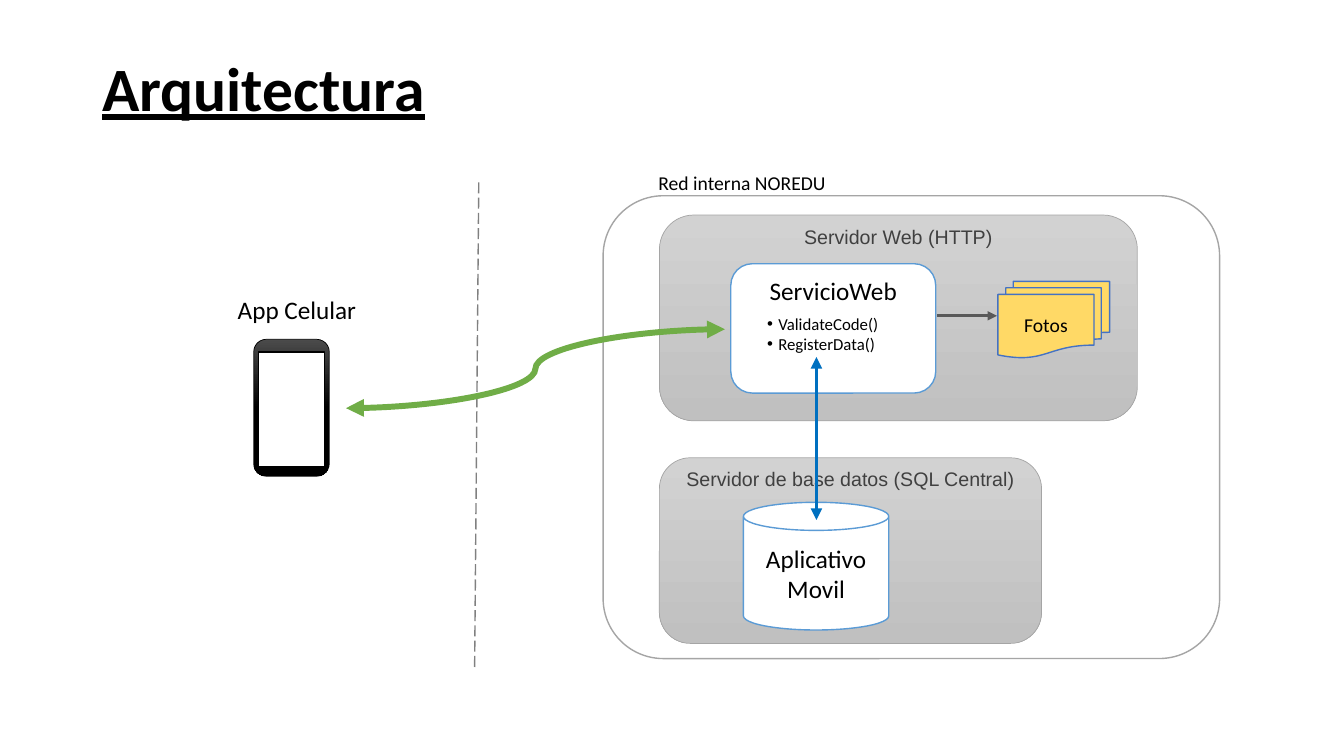
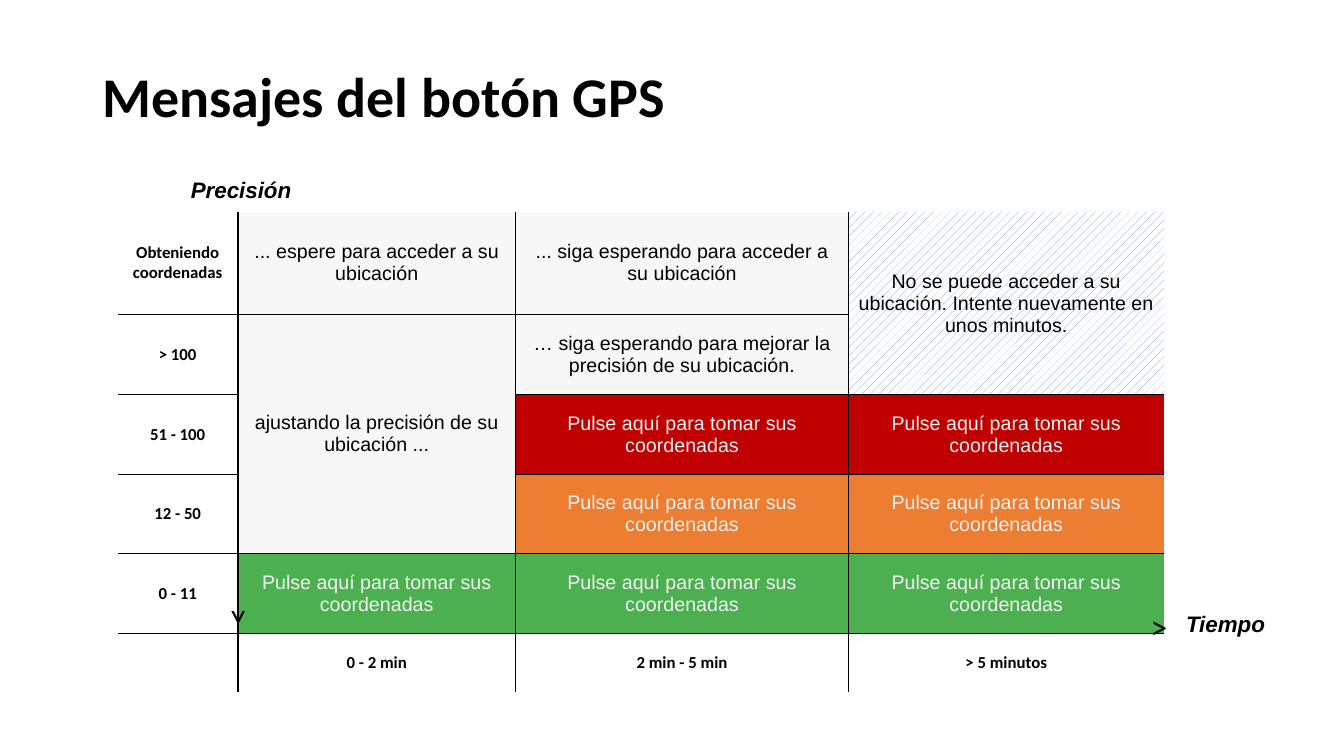
from dataclasses import dataclass, replace

from lxml.etree import SubElement
from pptx import Presentation
from pptx.dml.color import RGBColor
from pptx.enum.dml import MSO_LINE as Dash, MSO_PATTERN as Pattern
from pptx.enum.shapes import MSO_CONNECTOR as Link, MSO_SHAPE as Shape
from pptx.enum.text import MSO_ANCHOR as Anchor, PP_ALIGN as Align
from pptx.oxml.ns import qn
from pptx.util import Emu, Inches, Pt

# The slide is a grid of 160 columns by 90 rows; every length counts them.
COLUMNS, ROWS = 160, 90


@dataclass(frozen=True)
class Type:
    size: float
    font: str = "Calibri"
    color: str = "000000"
    bold: bool = False
    italic: bool = False
    underline: bool = False


@dataclass(frozen=True)
class Theme:
    ink: str = "000000"
    paper: str = "FFFFFF"
    outline: str = "A5A5A5"
    boundary: str = "808080"
    blue_edge: str = "5B9BD5"
    note_edge: str = "4472C4"
    note: str = "FFD966"
    data_link: str = "0070C0"
    app_link: str = "70AD47"
    file_link: str = "595959"
    waiting: str = "F7F7F7"
    red: str = "C00000"
    orange: str = "ED7D31"
    green: str = "4CB050"
    server_shade: tuple = ("D2D2D2", "C0C0C0", 1)
    phone_shade: tuple = ("4B4B4B", "000000", 0.5)
    title: Type = Type(44, bold=True)
    label: Type = Type(18)
    small_label: Type = Type(14)
    method: Type = Type(12)
    server: Type = Type(14, "Arial", "404040")
    axis: Type = Type(16, "Arial", bold=True, italic=True)
    arrow: Type = Type(24)
    scale: Type = Type(12, bold=True)
    message: Type = Type(14, "Arial")
    button: Type = Type(14, "Arial", "F2F2F2")


class Deck:
    """Holds the theme and the slide being drawn."""

    def __init__(self, theme):
        self.theme = theme
        self.prs = Presentation()
        self.prs.slide_width, self.prs.slide_height = Inches(13.33), Inches(7.5)
        self.slide = None

    def x(self, columns):
        return Emu(round(self.prs.slide_width * columns / COLUMNS))

    def y(self, rows):
        return Emu(round(self.prs.slide_height * rows / ROWS))

    def box(self, left, top, width, height):
        return self.x(left), self.y(top), self.x(width), self.y(height)

    def new_slide(self, title, height, style):
        self.slide = self.prs.slides.add_slide(self.prs.slide_layouts[6])
        heading = self.text((11, 4.8, 138, height), title, style, Align.LEFT)
        heading.text_frame.vertical_anchor = Anchor.MIDDLE
        heading.text_frame.paragraphs[0].line_spacing = 0.9

    @staticmethod
    def add_lines(frame, lines, style, align=Align.CENTER):
        """Put lines into a frame, after any paragraphs it already has."""
        for line in lines:
            first = frame.paragraphs[0]
            paragraph = frame.add_paragraph() if first.runs else first
            paragraph.alignment = align
            run = paragraph.add_run()
            run.text = line
            font = run.font
            font.size, font.name = Pt(style.size), style.font
            font.bold, font.italic = style.bold, style.italic
            font.underline = style.underline
            font.color.rgb = RGBColor.from_string(style.color)

    def text(self, place, line, style, align=Align.CENTER, rotation=0):
        label = self.slide.shapes.add_textbox(*self.box(*place))
        label.rotation = rotation
        label.text_frame.word_wrap = True
        self.add_lines(label.text_frame, [line], style, align)
        return label

    def shape(self, kind, place, fill, edge, weight=1.0, lines=(), style=None,
              anchor=Anchor.MIDDLE):
        """Draw a shape; fill is a colour or (first, last, end of blend)."""
        figure = self.slide.shapes.add_shape(kind, *self.box(*place))
        figure.shadow.inherit = False
        if isinstance(fill, tuple):
            figure.fill.gradient()
            figure.fill.gradient_angle = 270
            first, last = figure.fill.gradient_stops
            first.color.rgb, last.color.rgb = map(RGBColor.from_string, fill[:2])
            first.position, last.position = 0, fill[2]
        else:
            figure.fill.solid()
            figure.fill.fore_color.rgb = RGBColor.from_string(fill)
        figure.line.color.rgb = RGBColor.from_string(edge)
        figure.line.width = Pt(weight)
        figure.text_frame.vertical_anchor = anchor
        self.add_lines(figure.text_frame, lines, style)
        return figure

    def server(self, place, name, side_inset):
        server = self.shape(Shape.FLOWCHART_ALTERNATE_PROCESS, place,
                            self.theme.server_shade, self.theme.outline, 0.5,
                            [name], self.theme.server, Anchor.TOP)
        frame = server.text_frame
        frame.margin_left = frame.margin_right = Inches(side_inset)
        frame.margin_top = 0

    def bullets(self, frame, lines, style):
        start = len(frame.paragraphs)
        self.add_lines(frame, lines, style, Align.LEFT)
        for paragraph in frame.paragraphs[start:]:
            props = paragraph._p.get_or_add_pPr()
            props.set("marL", str(Inches(0.31)))
            props.set("indent", str(Inches(-0.11)))
            SubElement(props, qn("a:buFont"), typeface="Arial")
            SubElement(props, qn("a:buChar"), char="•")

    def link(self, start, end, color, weight, heads=(), kind=Link.STRAIGHT,
             dash=None):
        """Draw a connector; heads names its arrowed ends, head and tail."""
        link = self.slide.shapes.add_connector(
            kind, self.x(start[0]), self.y(start[1]),
            self.x(end[0]), self.y(end[1]))
        link.line.color.rgb = RGBColor.from_string(color)
        link.line.width = Pt(weight)
        if dash:
            link.line.dash_style = dash
        for head in heads:
            SubElement(link.line._ln, qn(f"a:{head}End"), type="triangle")
        SubElement(link._element.spPr, qn("a:effectLst"))

    def edges(self, cell, weights):
        """Set the left, right, top and bottom borders; 0 hides one."""
        props = cell._tc.get_or_add_tcPr()
        for side, weight in zip("LRTB", weights):
            line = SubElement(props, qn(f"a:ln{side}"), w=str(int(Pt(weight))))
            if weight:
                fill = SubElement(line, qn("a:solidFill"))
                SubElement(fill, qn("a:srgbClr"), val=self.theme.ink)
            else:
                SubElement(line, qn("a:noFill"))

    def paint(self, cell, fill):
        """Fill a cell with a colour, a (front, back) pattern or nothing."""
        if fill is None:
            cell.fill.background()
        elif isinstance(fill, tuple):
            cell.fill.patterned()
            cell.fill.pattern = Pattern.PERCENT_20
            cell.fill.fore_color.rgb, cell.fill.back_color.rgb = map(
                RGBColor.from_string, fill)
        else:
            cell.fill.solid()
            cell.fill.fore_color.rgb = RGBColor.from_string(fill)

    def matrix(self, corner, widths, heights, rows):
        """Draw a table of (text, fill, style); None extends the cell above."""
        place = self.box(*corner, sum(widths), sum(heights))
        table = self.slide.shapes.add_table(len(rows), len(widths), *place).table
        table.first_row = table.horz_banding = False
        for column, width in zip(table.columns, widths):
            column.width = self.x(width)
        for row, height in zip(table.rows, heights):
            row.height = self.y(height)

        last_row, last_col = len(rows) - 1, len(widths) - 1
        # The line after the first column is the vertical axis.
        uprights = [0, 1.5] + [1] * (last_col - 1) + [0]
        for r, row in enumerate(rows):
            for c, content in enumerate(row):
                cell = table.cell(r, c)
                joined_below = r < last_row and rows[r + 1][c] is None
                self.edges(cell, (
                    uprights[c], uprights[c + 1],
                    int(r > 0 and content is not None),
                    int(r < last_row and not joined_below)))
                if content is None:
                    continue
                text, fill, style = content
                self.paint(cell, fill)
                cell.vertical_anchor = Anchor.MIDDLE
                if text:
                    self.add_lines(cell.text_frame, [text], style)
                end = r
                while end < last_row and rows[end + 1][c] is None:
                    end += 1
                if end > r:
                    cell.merge(table.cell(end, c))


def architecture(deck):
    t = deck.theme
    both = ("head", "tail")
    deck.new_slide("Arquitectura", 12.1, replace(t.title, underline=True))

    deck.shape(Shape.ROUNDED_RECTANGLE, (30.2, 40.4, 9, 16.3), t.phone_shade,
               t.ink, 0.5)
    deck.shape(Shape.RECTANGLE, (30.8, 41.9, 7.8, 13.7), t.paper, t.ink)
    network = deck.shape(Shape.ROUNDED_RECTANGLE, (71.8, 23.3, 73.4, 55.1),
                         t.paper, t.outline)
    network.adjustments[0] = 0.13
    deck.link((57, 21.7), (56.5, 79.9), t.boundary, 1, dash=Dash.LONG_DASH)

    deck.server((78.5, 54.5, 45.5, 22.1), "Servidor de base datos (SQL Central)", 0.04)
    deck.server((78.5, 25.6, 56.9, 24.5), "Servidor Web (HTTP)", 0.1)
    database = deck.shape(Shape.CAN, (88.5, 59.8, 17.3, 15.2), t.paper,
                          t.blue_edge, 1, ["Aplicativo", "Movil"], t.label)
    database.adjustments[0] = 0.22
    service = deck.shape(Shape.FLOWCHART_ALTERNATE_PROCESS,
                         (87, 31.4, 24.4, 15.4), t.paper, t.blue_edge, 1,
                         ["ServicioWeb"], t.label, Anchor.TOP).text_frame
    service.paragraphs[0].space_after = Pt(6)
    deck.bullets(service, ["ValidateCode()", "RegisterData()"], t.method)
    deck.link((97.2, 61.9), (97.2, 42.5), t.data_link, 2.75, both)
    deck.shape(Shape.FLOWCHART_MULTIDOCUMENT, (118.8, 33.5, 13.3, 9.1), t.note,
               t.note_edge, 1, ["Fotos"], t.small_label)
    deck.link((111.6, 37.6), (118.7, 37.6), t.file_link, 2.25, ["tail"])
    deck.text((25.1, 34.4, 20.5, 4.8), "App Celular", t.label)
    deck.link((41.2, 48.6), (86.3, 39.2), t.app_link, 4.25, both, Link.CURVE)
    deck.text((77.2, 19.7, 22.7, 4.1), "Red interna NOREDU", t.small_label,
              Align.LEFT)


def gps_messages(deck):
    t = deck.theme
    deck.new_slide("Mensajes del botón GPS", 14, replace(t.title, size=40))

    def scale(text):
        return text, None, t.scale

    def wait(text, fill=t.waiting):
        return text, fill, t.message

    def press(fill):
        return "Pulse aquí para tomar sus coordenadas", fill, t.button

    deck.matrix(
        (14, 25.2), (14.3, 33.1, 39.6, 37.6), (12.2, 9, 9.5, 9.4, 9.5, 7), [
            [scale("Obteniendo coordenadas"),
             wait("... espere para acceder a su ubicación"),
             wait("... siga esperando para acceder a su ubicación"),
             wait("No se puede acceder a su ubicación. Intente nuevamente "
                  "en unos minutos.", (t.blue_edge, t.paper))],
            [scale("> 100"),
             wait("ajustando la precisión de su ubicación ..."),
             wait("… siga esperando para mejorar la precisión de su ubicación."),
             None],
            [scale("51 - 100"), None, press(t.red), press(t.red)],
            [scale("12 - 50"), None, press(t.orange), press(t.orange)],
            [scale("0 - 11")] + [press(t.green)] * 3,
            [scale(span) for span in
             ("", "0 - 2 min", "2 min - 5 min", "> 5 minutos")],
        ])
    deck.text((139.8, 72, 12.2, 4.4), "Tiempo", t.axis)
    deck.text((20.9, 20.4, 15.6, 4.4), "Precisión", t.axis)
    deck.text((26.8, 70.2, 3.8, 6), ">", t.arrow, Align.LEFT, 90)
    deck.text((135.8, 71.5, 3.8, 6), ">", t.arrow, Align.LEFT)


def main():
    deck = Deck(Theme())
    architecture(deck)
    gps_messages(deck)
    deck.prs.save("out.pptx")


if __name__ == "__main__":
    main()
